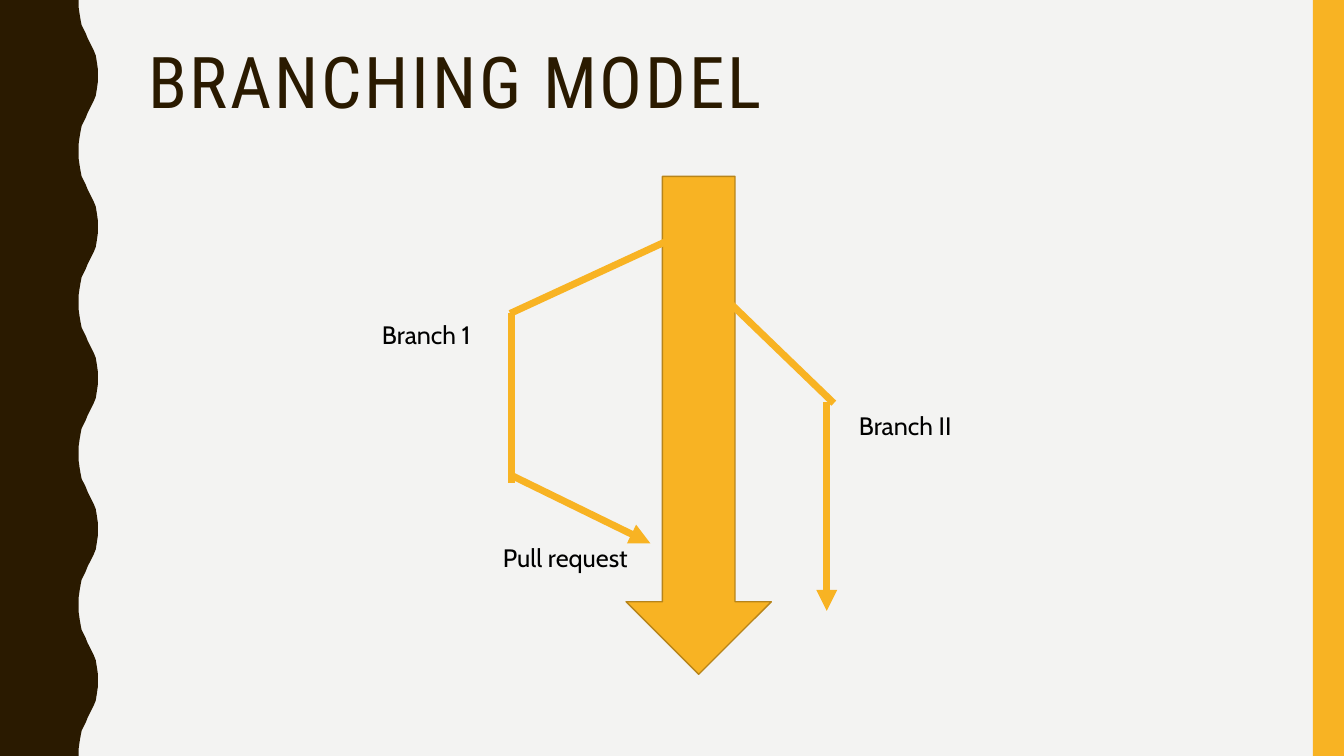
"""Draw the branching model slide with a trunk arrow and two branches."""
from dataclasses import dataclass
from typing import NamedTuple

from lxml import etree
from pptx import Presentation
from pptx import util as u
from pptx.dml import color
from pptx.enum import shapes, text
from pptx.oxml import ns


@dataclass(frozen=True)
class Theme:
    back: str = "F3F3F2"
    dark: str = "2A1A00"
    gold: str = "F8B323"
    edge: str = "B7841A"
    ink: str = "000000"
    head: str = "Roboto Condensed"
    body: str = "Cabin"
    large: int = 51
    small: int = 18
    thick: int = 5
    thin: int = 1
    track: int = 200


class Link(NamedTuple):
    start: tuple[float, float]
    end: tuple[float, float]
    arrow: bool = False


class Label(NamedTuple):
    words: str
    left: float
    top: float


THEME = Theme()
WIDTH, HEIGHT = 13.33, 7.5
WAVES = 5
CURVE = [
    (0.78, 0), (0.78, 0.07), (0.79, 0.14), (0.8, 0.2), (0.81, 0.25),
    (0.83, 0.29), (0.85, 0.33), (0.87, 0.38), (0.89, 0.42), (0.91, 0.46),
    (0.93, 0.5), (0.95, 0.55), (0.96, 0.61), (0.97, 0.68), (0.97, 0.75),
]
LINKS = [
    Link((6.64, 2.38), (5.06, 3.11)),
    Link((7.15, 2.92), (8.27, 4)),
    Link((5.07, 3.11), (5.07, 4.79)),
    Link((5.08, 4.72), (6.45, 5.39), True),
    Link((8.2, 3.99), (8.2, 6.06), True),
]
LABELS = [
    Label("Pull request", 4.89, 5.33),
    Label("Branch 1", 3.69, 3.12),
    Label("Branch II", 8.42, 4.02),
]


def tint(name: str) -> color.RGBColor:
    return color.RGBColor.from_string(name)


def paint(shape, fill: str, edge: str = "") -> None:
    shape.shadow.inherit = False
    shape.fill.solid()
    shape.fill.fore_color.rgb = tint(fill)
    if edge:
        shape.line.color.rgb = tint(edge)
        shape.line.width = u.Pt(THEME.thin)
    else:
        shape.line.fill.background()


def add_wave(slide) -> None:
    step = HEIGHT / WAVES
    wave = CURVE + [(x, step - y) for x, y in reversed(CURVE[:-1])]
    edge = [(x, y + step * turn) for turn in range(WAVES) for x, y in wave]
    points = [(u.Inches(x), u.Inches(y)) for x, y in [*edge, (0, HEIGHT)]]
    outline = slide.shapes.build_freeform(0, 0)
    outline.add_line_segments(points, close=True)
    paint(outline.convert_to_shape(), THEME.dark)


def add_block(slide, kind, box: tuple[float, ...], edge: str = "") -> None:
    block = slide.shapes.add_shape(kind, *map(u.Inches, box))
    paint(block, THEME.gold, edge)


def add_link(slide, link: Link) -> None:
    ends = map(u.Inches, link.start + link.end)
    line = slide.shapes.add_connector(shapes.MSO_CONNECTOR.STRAIGHT, *ends)
    line.line.color.rgb = tint(THEME.gold)
    line.line.width = u.Pt(THEME.thick)
    props = line.element.spPr
    if link.arrow:
        stroke = props.find(ns.qn("a:ln"))
        etree.SubElement(stroke, ns.qn("a:tailEnd"), type="triangle")
    etree.SubElement(props, ns.qn("a:effectLst"))


def add_text(slide, words: str, box: tuple[float, ...], face: str, size: int, ink: str):
    area = slide.shapes.add_textbox(*map(u.Inches, box))
    frame = area.text_frame
    frame.word_wrap = True
    frame.text = words
    font = frame.paragraphs[0].runs[0].font
    font.name = face
    font.size = u.Pt(size)
    font.color.rgb = tint(ink)
    return area


def add_title(slide) -> None:
    box = (1.37, 0.42, 11.13, 1.63)
    title = add_text(slide, "BRANCHING MODEL", box, THEME.head, THEME.large, THEME.dark)
    title.text_frame.paragraphs[0].line_spacing = 0.9
    for props in title.element.iter(ns.qn("a:rPr")):
        props.set("spc", str(THEME.track))


def add_label(slide, label: Label) -> None:
    box = (label.left, label.top, 1.51, 0.4)
    area = add_text(slide, label.words, box, THEME.body, THEME.small, THEME.ink)
    area.text_frame.auto_size = text.MSO_AUTO_SIZE.SHAPE_TO_FIT_TEXT


def main() -> None:
    deck = Presentation()
    deck.slide_width, deck.slide_height = u.Inches(WIDTH), u.Inches(HEIGHT)
    slide = deck.slides.add_slide(deck.slide_layouts[6])
    slide.background.fill.solid()
    slide.background.fill.fore_color.rgb = tint(THEME.back)
    add_wave(slide)
    add_block(slide, shapes.MSO_SHAPE.RECTANGLE, (13.02, 0, 0.31, HEIGHT))
    add_title(slide)
    add_block(slide, shapes.MSO_SHAPE.DOWN_ARROW, (6.21, 1.75, 1.44, 4.94), THEME.edge)
    for link in LINKS:
        add_link(slide, link)
    for label in LABELS:
        add_label(slide, label)
    deck.save("out.pptx")


main()
